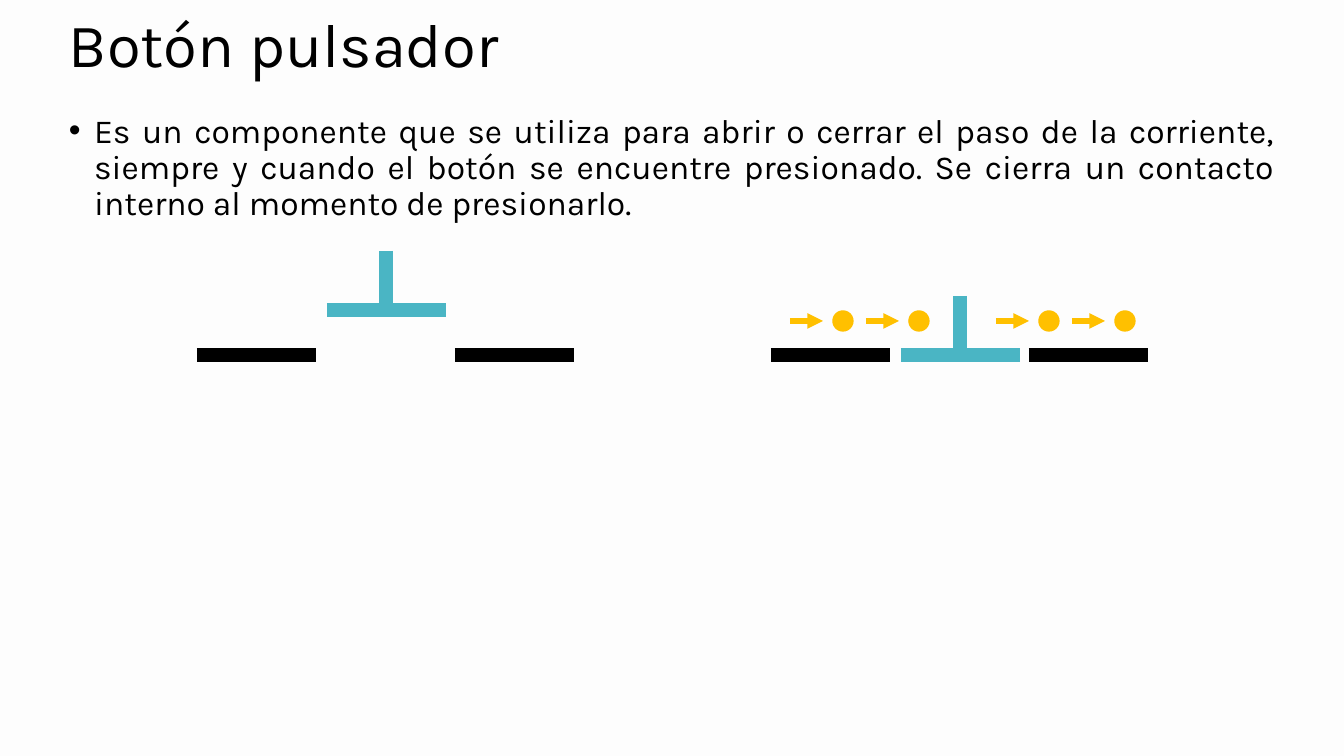
from lxml.etree import SubElement
from pptx import Presentation
from pptx.dml.color import RGBColor
from pptx.enum.shapes import MSO_CONNECTOR, MSO_SHAPE
from pptx.enum.text import MSO_ANCHOR, PP_ALIGN
from pptx.oxml.ns import qn
from pptx.util import Emu, Pt

SCALE = 914400 / 100.8
FONT = "Karla"
COLORS = {
    "background": "FDFDFD",
    "text": "000000",
    "contact": "000000",
    "button": "4AB5C4",
    "current": "FFC000",
}
BAR_LENGTH = 119
BAR_WEIGHT = 10


def px(length):
    return Emu(round(length * SCALE))


def color(name):
    return RGBColor.from_string(COLORS[name])


def add_line(group, start, end, name, weight, arrow=False):
    line = group.shapes.add_connector(
        MSO_CONNECTOR.STRAIGHT, *[px(value) for value in (*start, *end)])
    line.line.color.rgb = color(name)
    line.line.width = Pt(weight)
    properties = line._element.spPr
    if arrow:
        SubElement(properties.find(qn("a:ln")), qn("a:tailEnd"), type="triangle")
    SubElement(properties, qn("a:effectLst"))


def add_text(page, box, text, size, anchor, bullet=False):
    frame = page.shapes.add_textbox(*[px(value) for value in box]).text_frame
    frame.word_wrap = True
    frame.vertical_anchor = anchor
    para = frame.paragraphs[0]
    para.line_spacing = 0.9
    if bullet:
        para.alignment = PP_ALIGN.JUSTIFY
        properties = para._p.get_or_add_pPr()
        properties.set("marL", "228600")
        properties.set("indent", "-228600")
        SubElement(properties, qn("a:buFont"), typeface="Arial")
        SubElement(properties, qn("a:buChar"), char="•")
    span = para.add_run()
    span.text = text
    span.font.name = FONT
    span.font.size = Pt(size)
    span.font.color.rgb = color("text")


def add_switch(page, left, level, lift):
    group = page.shapes.add_group_shape()
    for offset in (0, 258):
        start = left + offset
        add_line(group, (start, level), (start + BAR_LENGTH, level), "contact", BAR_WEIGHT)
    bridge = left + 130
    height = level - lift
    add_line(group, (bridge, height), (bridge + BAR_LENGTH, height), "button", BAR_WEIGHT)
    stem = bridge + BAR_LENGTH / 2
    add_line(group, (stem, height - 59), (stem, height), "button", BAR_WEIGHT)
    return group


def add_current(group, left, middle):
    size = 20
    for offset in (0, 76):
        start = left + offset
        dot = group.shapes.add_shape(
            MSO_SHAPE.OVAL, px(start + 43), px(middle - size / 2), px(size), px(size))
        dot.shadow.inherit = False
        dot.fill.solid()
        dot.fill.fore_color.rgb = color("current")
        dot.line.color.rgb = color("current")
        dot.line.width = Pt(1)
        add_line(group, (start, middle), (start + 33, middle), "current", 3.75, arrow=True)


def build_page(deck):
    page = deck.slides.add_slide(deck.slide_layouts[6])
    page.background.fill.solid()
    page.background.fill.fore_color.rgb = color("background")
    add_text(page, (59, 5, 1225, 85), "Botón pulsador", 44, MSO_ANCHOR.MIDDLE)
    add_text(
        page, (59, 109, 1225, 588),
        "Es un componente que se utiliza para abrir o cerrar el paso de la corriente, "
        "siempre y cuando el botón se encuentre presionado. "
        "Se cierra un contacto interno al momento de presionarlo.",
        24, MSO_ANCHOR.TOP, bullet=True)
    level = 355
    add_switch(page, 197, level, lift=45)
    closed_left = 771
    closed = add_switch(page, closed_left, level, lift=0)
    for offset in (19, 225):
        add_current(closed, closed_left + offset, level - 34)


def main():
    deck = Presentation()
    deck.slide_width = px(1344)
    deck.slide_height = px(756)
    build_page(deck)
    deck.save("out.pptx")


if __name__ == "__main__":
    main()
